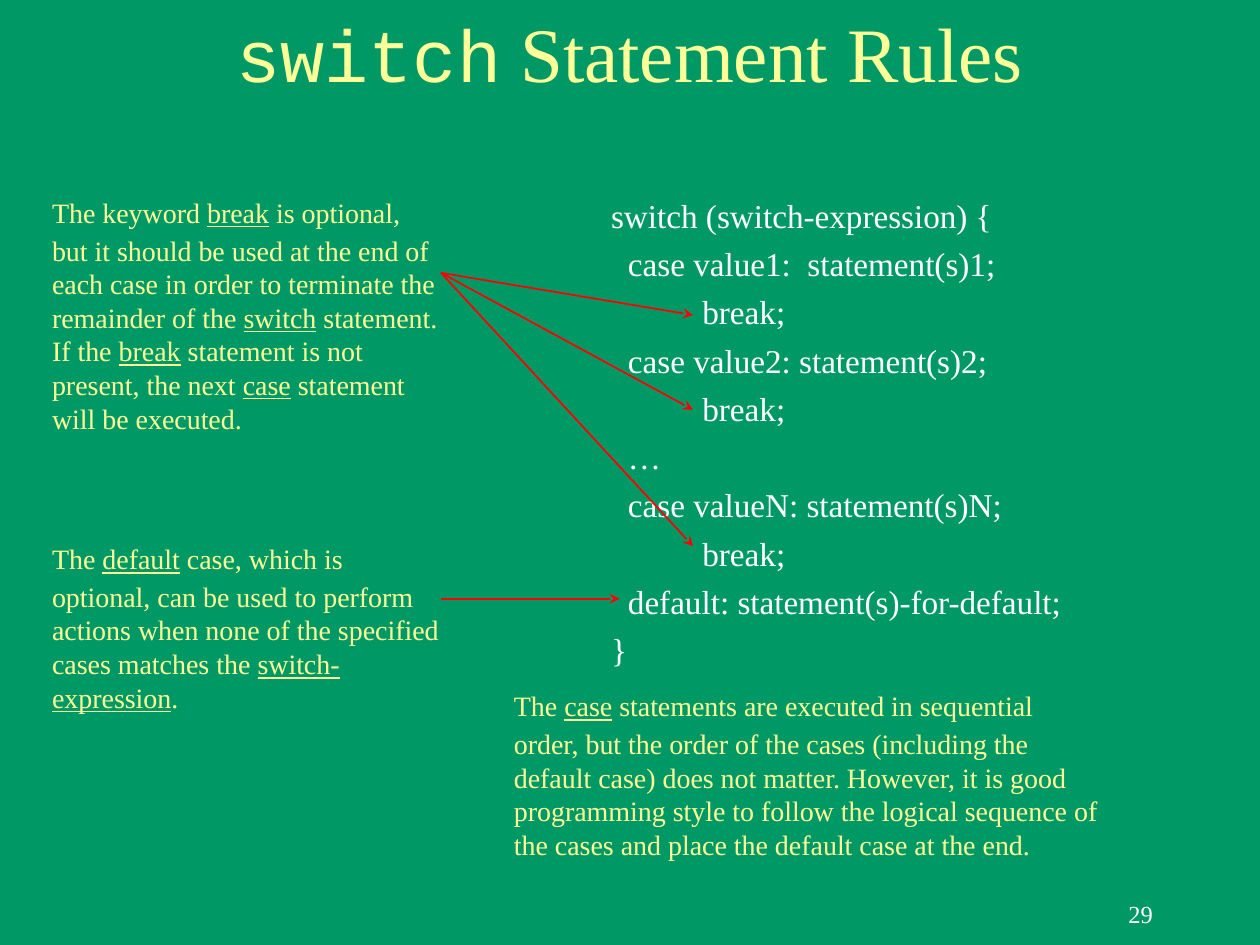
from lxml.etree import SubElement
from pptx import Presentation
from pptx.dml.color import RGBColor
from pptx.enum.shapes import MSO_CONNECTOR
from pptx.enum.text import MSO_ANCHOR, MSO_AUTO_SIZE, PP_ALIGN
from pptx.oxml.ns import qn
from pptx.util import Cm, Pt

GREEN, YELLOW, WHITE, RED = "009966", "FFFF99", "FFFFFF", "FF0000"
SERIF, MONO = "Times New Roman", "Courier New"
CODE_INDENTS = [0, 0.34, 1.84]
CODE = [
    (0, "switch (switch-expression) {"),
    (1, "case value1:  statement(s)1;"),
    (2, "break;"),
    (1, "case value2: statement(s)2;"),
    (2, "break;"),
    (1, "…"),
    (1, "case valueN: statement(s)N;"),
    (2, "break;"),
    (1, "default: statement(s)-for-default;"),
    (0, "}"),
]
# Keywords between underscores are underlined.
BREAK_NOTE = (
    "The keyword _break_ is optional, but it should be used at the end of each "
    "case in order to terminate the remainder of the _switch_ statement. If the "
    "_break_ statement is not present, the next _case_ statement will be executed."
)
DEFAULT_NOTE = (
    "The _default_ case, which is optional, can be used to perform actions when "
    "none of the specified cases matches the _switch-expression_."
)
ORDER_NOTE = (
    "The _case_ statements are executed in sequential order, but the order of the "
    "cases (including the default case) does not matter. However, it is good "
    "programming style to follow the logical sequence of the cases and place the "
    "default case at the end."
)


def rgb(color):
    return RGBColor.from_string(color)


def add_run(paragraph, text, size, color, font=SERIF, underline=False):
    run = paragraph.add_run()
    run.text = text
    run.font.name, run.font.size = font, Pt(size)
    run.font.color.rgb = rgb(color)
    run.font.underline = underline


def indent(paragraph, left, first=0):
    properties = paragraph._p.get_or_add_pPr()
    properties.set("marL", str(Cm(left)))
    properties.set("indent", str(Cm(first)))


def add_text_frame(shapes, left, top, width, height):
    frame = shapes.add_textbox(Cm(left), Cm(top), Cm(width), Cm(height)).text_frame
    frame.word_wrap = True
    return frame


def add_title(slide):
    title = slide.shapes.title
    title.left, title.top, title.width, title.height = Cm(1.9), Cm(0), Cm(21.6), Cm(2.1)
    frame = title.text_frame
    frame.auto_size = MSO_AUTO_SIZE.NONE
    frame.vertical_anchor = MSO_ANCHOR.MIDDLE
    heading = frame.paragraphs[0]
    heading.alignment = PP_ALIGN.CENTER
    add_run(heading, "switch", 42, YELLOW, MONO)
    add_run(heading, " Statement Rules", 44, YELLOW)


def add_note(shapes, left, top, width, height, text, lead_font=MONO):
    """Add a hanging paragraph whose large leading tab makes the first line taller."""
    note = add_text_frame(shapes, left, top, width, height).paragraphs[0]
    indent(note, 0.16, -0.16)
    add_run(note, "\t", 28, YELLOW, lead_font)
    for index, part in enumerate(text.split("_")):
        add_run(note, part, 16, YELLOW, underline=index % 2 == 1)


def add_code(shapes):
    frame = add_text_frame(shapes, 12.07, 3.81, 10.16, 10.58)
    for index, (level, text) in enumerate(CODE):
        line = frame.add_paragraph() if index else frame.paragraphs[0]
        line.space_before = Pt(4.8)
        indent(line, CODE_INDENTS[level])
        add_run(line, text, 19, WHITE)


def add_arrow(shapes, start, end):
    x1, y1, x2, y2 = map(Cm, (*start, *end))
    arrow = shapes.add_connector(MSO_CONNECTOR.STRAIGHT, x1, y1, x2, y2)
    arrow.line.color.rgb = rgb(RED)
    arrow.line.width = Pt(1)
    SubElement(arrow.line._get_or_add_ln(), qn("a:tailEnd"), type="stealth")
    SubElement(arrow._element.spPr, qn("a:effectLst"))


def add_page_number(shapes):
    frame = add_text_frame(shapes, 18.2, 17.78, 5.29, 1.27)
    frame.vertical_anchor = MSO_ANCHOR.MIDDLE
    number = frame.paragraphs[0]
    number.alignment = PP_ALIGN.RIGHT
    add_run(number, "29", 14, WHITE)


def main():
    deck = Presentation()
    deck.slide_width, deck.slide_height = Cm(25.4), Cm(19.05)
    slide = deck.slides.add_slide(deck.slide_layouts[5])
    slide.background.fill.solid()
    slide.background.fill.fore_color.rgb = rgb(GREEN)
    shapes = slide.shapes

    add_page_number(shapes)
    add_title(slide)
    add_note(shapes, 0.64, 3.39, 8.47, 5.72, BREAK_NOTE)
    add_code(shapes)
    for break_y in (6.35, 8.26, 11.01):
        add_arrow(shapes, (8.89, 5.5), (13.97, break_y))

    default_case = shapes.add_group_shape().shapes
    add_note(default_case, 0.64, 10.37, 8.47, 4.23, DEFAULT_NOTE)
    add_arrow(default_case, (8.89, 12.07), (12.49, 12.07))

    add_note(shapes, 9.95, 13.34, 12.49, 4.23, ORDER_NOTE, SERIF)
    deck.save("out.pptx")


if __name__ == "__main__":
    main()
